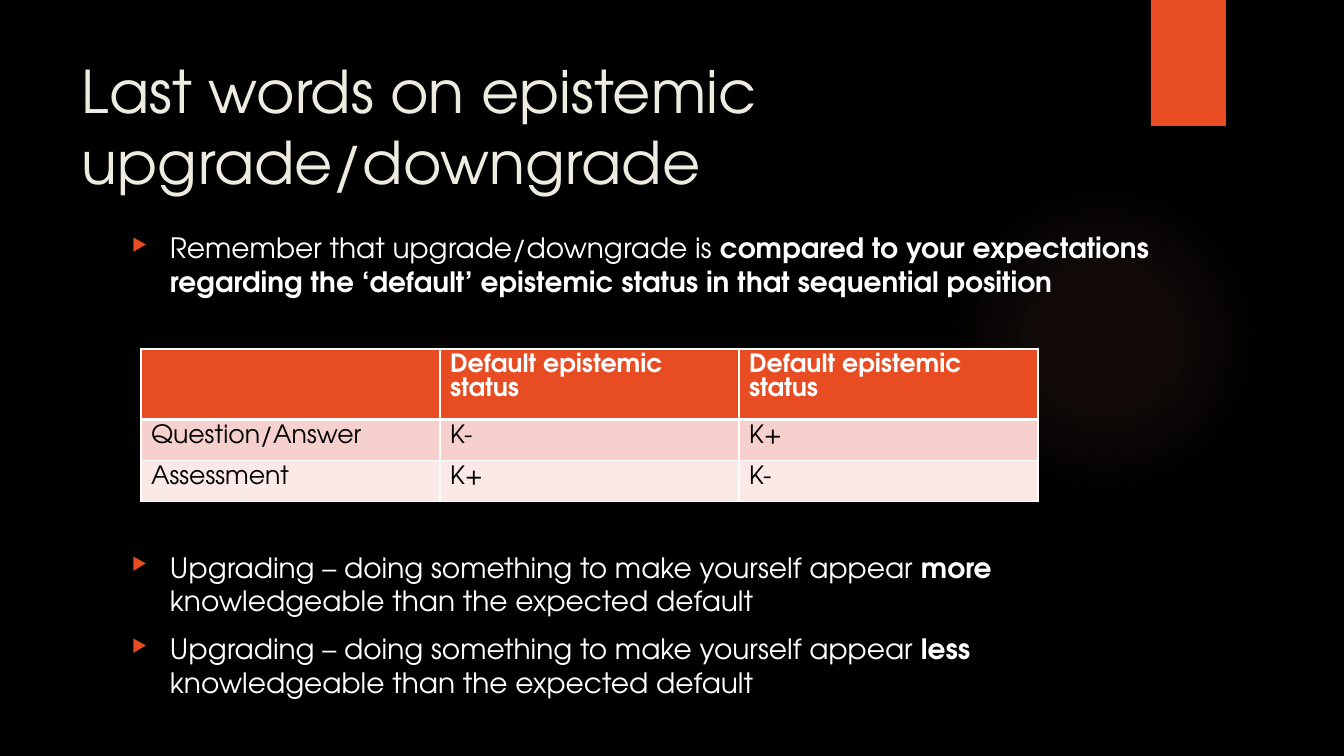
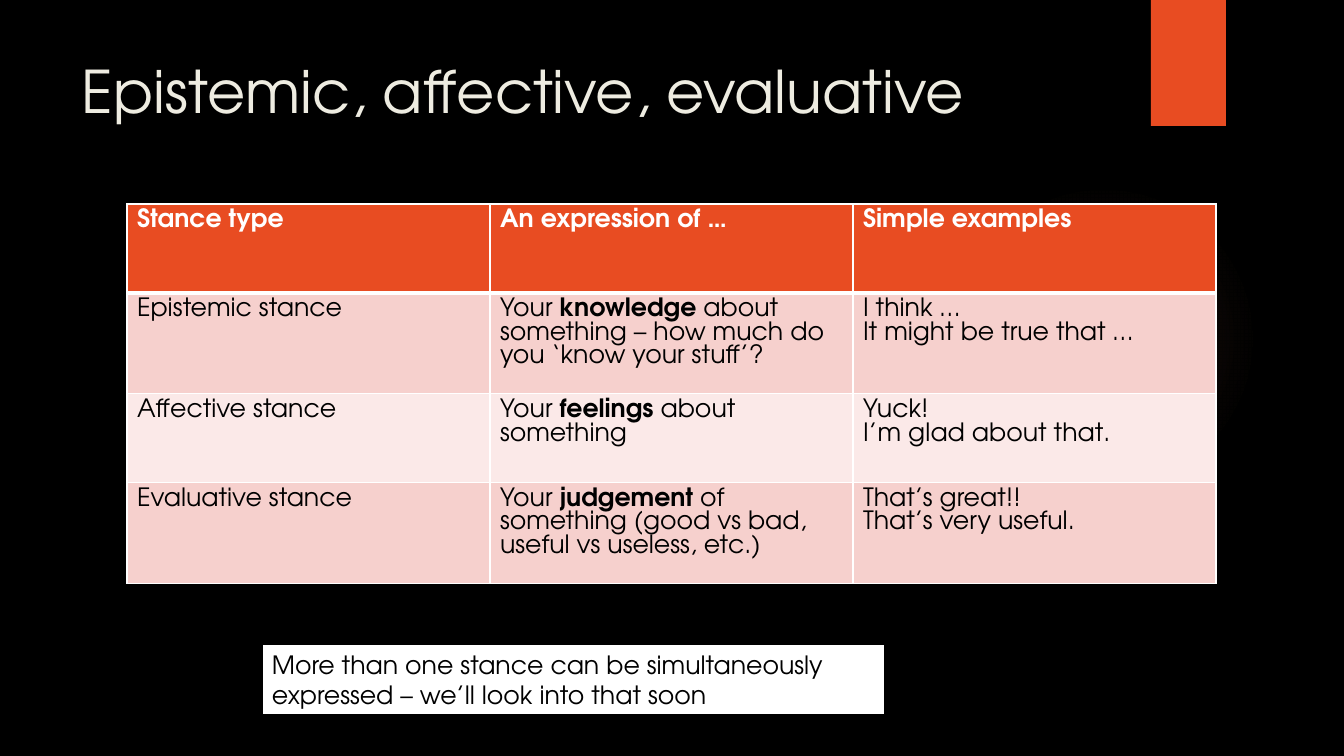
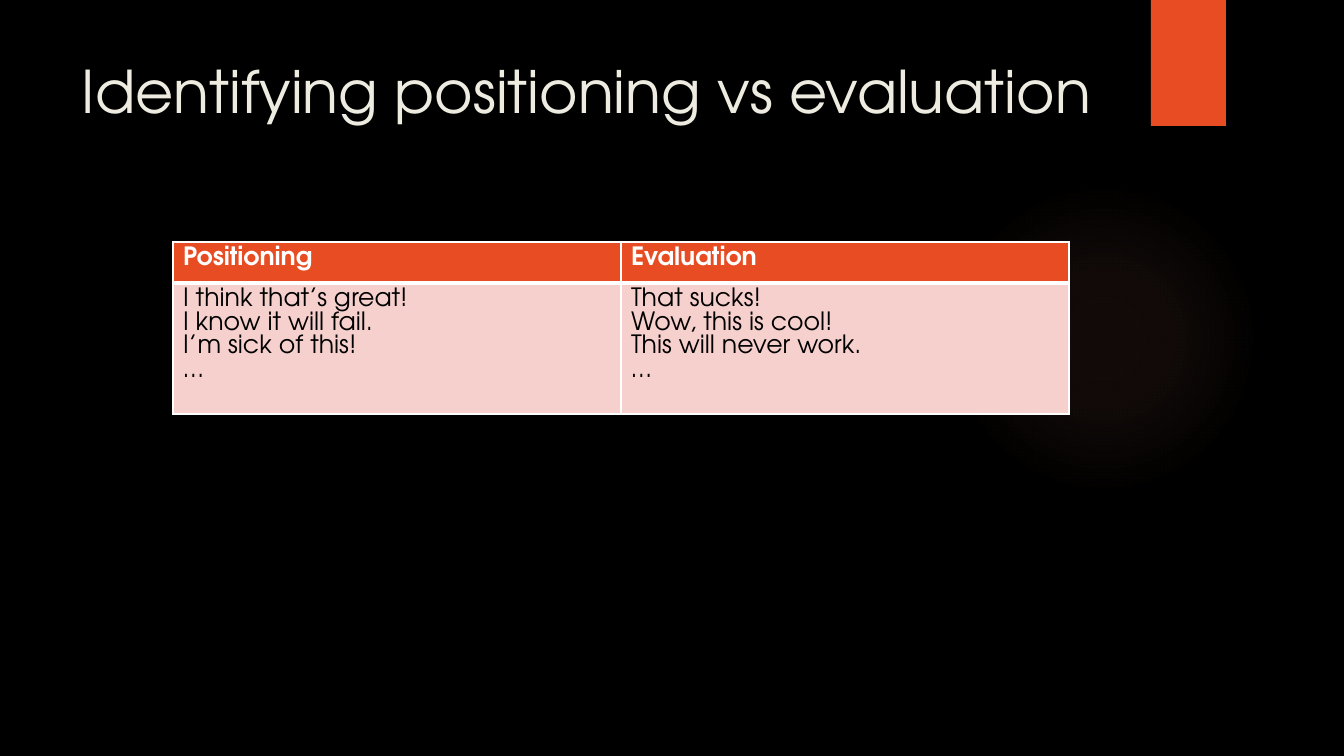
from lxml import etree
from pptx import Presentation, util as u
from pptx.dml.color import RGBColor
from pptx.enum import shapes, text
from pptx.oxml import parse_xml
from pptx.oxml.ns import nsdecls, qn

PX = 914400 / 100.8
FONT = "TeX Gyre Adventor"
COLORS = {
    "black": "000000", "white": "FFFFFF", "cream": "EEECE1", "orange": "E84C22",
    "glow": "F1947A", "rose": "F6D0CD", "blush": "FBE9E8",
}
TITLE = {"size": 42, "color": "cream"}
BODY = {"size": 20, "color": "white"}
HEADER = {"size": 18, "color": "white", "bold": True}
CELL = {"size": 18, "color": "black"}
CALLOUT = {"size": 18, "color": "black"}


def px(*lengths):
    return [u.Emu(round(length * PX)) for length in lengths]


def write(frame, content, size, color, bold=False):
    """One paragraph a line; words between asterisks are bold."""
    frame.word_wrap = True
    for index, line in enumerate(content.split("\n")):
        para = frame.add_paragraph() if index else frame.paragraphs[0]
        para.alignment = text.PP_ALIGN.LEFT
        for part, words in enumerate(line.split("*")):
            span = para.add_run()
            span.text = words
            look = {"name": FONT, "size": u.Pt(size), "bold": bold or part % 2 == 1}
            for name, value in look.items():
                setattr(span.font, name, value)
            span.font.color.rgb = RGBColor.from_string(COLORS[color])


# Content of the slides
PAGES = [
    {
        "title": "Last words on epistemic upgrade/downgrade",
        "bullets": "Remember that upgrade/downgrade is *compared to your expectations "
                   "regarding the ‘default’ epistemic status in that sequential position*\n"
                   "Upgrading – doing something to make yourself appear *more *"
                   "knowledgeable than the expected default\n"
                   "Upgrading – doing something to make yourself appear *less *"
                   "knowledgeable than the expected default",
        "corner": (141, 349), "column": 299, "heights": [57, 41, 41],
        "rows": [
            ["", "Default epistemic status", "Default epistemic status"],
            ["Question/Answer", "K-", "K+"],
            ["Assessment", "K+", "K-"],
        ],
    },
    {
        "title": "Epistemic, affective, evaluative",
        "corner": (127, 204), "column": 363, "heights": [89, 89, 89, 89],
        "rows": [
            ["Stance type", "An expression of …", "Simple examples"],
            ["Epistemic stance",
             "Your *knowledge* about something – how much do you ‘know your stuff’?",
             "I think …\nIt might be true that …"],
            ["Affective stance", "Your *feelings* about something",
             "Yuck!\nI’m glad about that."],
            ["Evaluative stance",
             "Your *judgement* of something (good vs bad, useful vs useless, etc.)",
             "That’s great!!\nThat’s very useful."],
        ],
        "callout": "More than one stance can be simultaneously expressed "
                   "– we’ll look into that soon",
    },
    {
        "title": "Identifying positioning vs evaluation",
        "corner": (173, 242), "column": 448, "heights": [41, 105],
        "rows": [
            ["Positioning", "Evaluation"],
            ["I think that’s great!\nI know it will fail.\nI’m sick of this!\n…",
             "That sucks!\nWow, this is cool!\nThis will never work.\n…"],
        ],
    },
]

deck = Presentation()
deck.slide_width, deck.slide_height = px(1344, 756)

for content in PAGES:
    page = deck.slides.add_slide(deck.slide_layouts[6])
    page.background.fill.solid()
    page.background.fill.fore_color.rgb = RGBColor.from_string(COLORS["black"])

    # Soft glow
    glow = page.shapes.add_shape(shapes.MSO_SHAPE.OVAL, *px(949, 184, 310, 310))
    glow.shadow.inherit = False
    glow.line.fill.background()
    stops = "".join(
        f'<a:gs pos="{stop * 1000}"><a:srgbClr val="{COLORS["glow"]}">'
        f'<a:alpha val="{alpha * 1000}"/></a:srgbClr></a:gs>'
        for stop, alpha in [(0, 7), (36, 6), (69, 0), (100, 0)])
    glow_fill = parse_xml(
        f'<a:gradFill {nsdecls("a")}><a:gsLst>{stops}</a:gsLst><a:path path="circle">'
        '<a:fillToRect l="50000" t="50000" r="50000" b="50000"/></a:path></a:gradFill>')
    glow.element.spPr.find(qn("a:prstGeom")).addnext(glow_fill)

    # Corner tab
    tab = page.shapes.add_shape(shapes.MSO_SHAPE.RECTANGLE, *px(1151, 0, 75, 126))
    tab.shadow.inherit = False
    tab.fill.solid()
    tab.fill.fore_color.rgb = RGBColor.from_string(COLORS["orange"])
    tab.line.fill.background()

    # Title
    title = page.shapes.add_textbox(*px(72, 50, 1037, 154))
    write(title.text_frame, content["title"], **TITLE)

    # Bullets, with room for the table after the first
    if "bullets" in content:
        box = page.shapes.add_textbox(*px(122, 226, 1062, 463))
        write(box.text_frame, content["bullets"], **BODY)
        for para, gap in zip(box.text_frame.paragraphs, [0, 180, 10]):
            para.space_before = u.Pt(gap)
            props = para._p.get_or_add_pPr()
            indent = px(38)[0]
            props.set("marL", str(indent))
            props.set("indent", str(-indent))
            color = etree.SubElement(props, qn("a:buClr"))
            etree.SubElement(color, qn("a:srgbClr"), val=COLORS["orange"])
            etree.SubElement(props, qn("a:buSzPct"), val="62000")
            etree.SubElement(props, qn("a:buChar"), char="▶")

    # Table
    rows, heights = content["rows"], content["heights"]
    columns = len(rows[0])
    table = page.shapes.add_table(
        len(rows), columns,
        *px(*content["corner"], content["column"] * columns, sum(heights))).table
    for column in table.columns:
        column.width = px(content["column"])[0]
    for r, (words, height) in enumerate(zip(rows, heights)):
        table.rows[r].height = px(height)[0]
        for c, word in enumerate(words):
            cell = table.cell(r, c)
            write(cell.text_frame, word, **(CELL if r else HEADER))
            for side in "LRTB":
                thick = (r, side) in [(0, "B"), (1, "T")]
                border = etree.SubElement(cell._tc.get_or_add_tcPr(), qn(f"a:ln{side}"),
                                          w=str(u.Pt(3 if thick else 1)))
                solid = etree.SubElement(border, qn("a:solidFill"))
                etree.SubElement(solid, qn("a:srgbClr"), val=COLORS["white"])
            shade = "orange" if r == 0 else "rose" if r % 2 else "blush"
            cell.fill.solid()
            cell.fill.fore_color.rgb = RGBColor.from_string(COLORS[shade])

    # Callout
    if "callout" in content:
        callout = page.shapes.add_shape(shapes.MSO_SHAPE.RECTANGLE, *px(262, 644, 623, 71))
        callout.shadow.inherit = False
        callout.fill.solid()
        callout.fill.fore_color.rgb = RGBColor.from_string(COLORS["white"])
        callout.line.color.rgb = RGBColor.from_string(COLORS["black"])
        callout.line.width = u.Pt(1.5)
        write(callout.text_frame, content["callout"], **CALLOUT)

deck.save("out.pptx")
